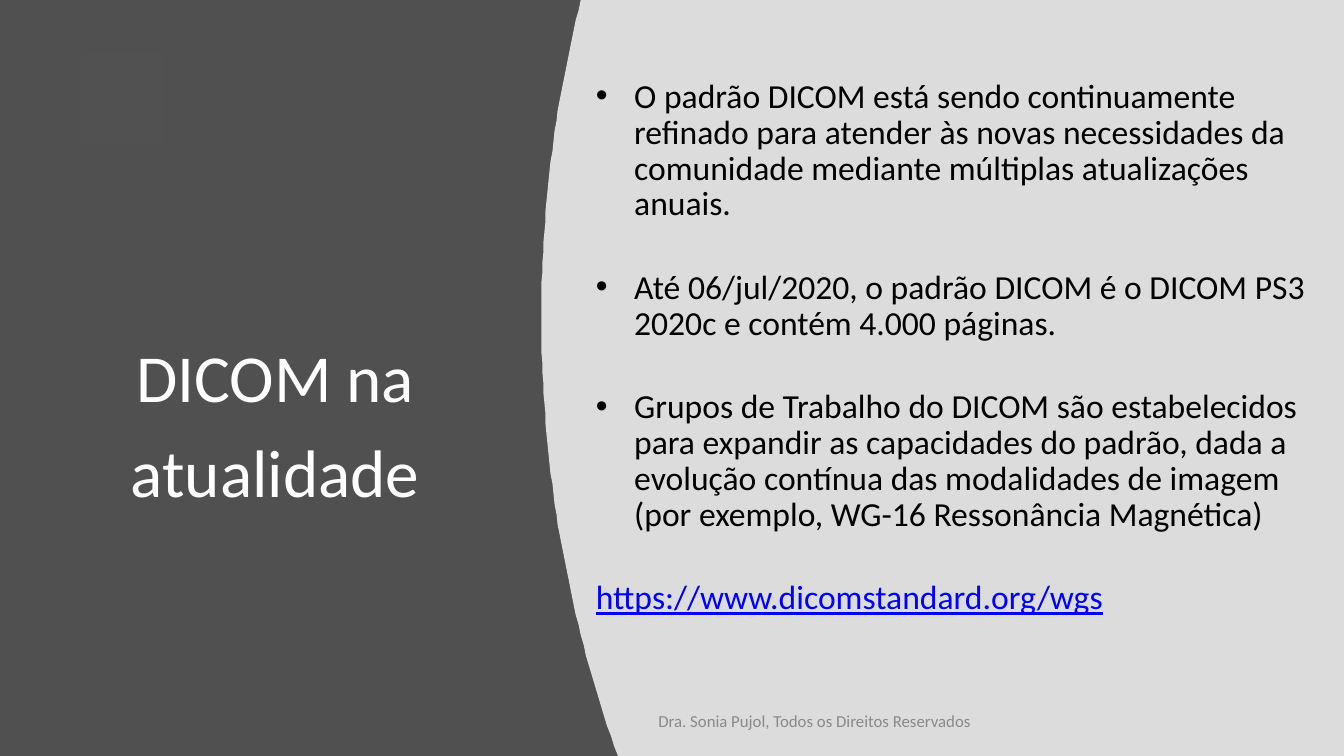
"""Build the slide about the DICOM standard today."""
import math
from dataclasses import dataclass

import pptx
import pptx.dml.color
import pptx.enum.shapes
import pptx.enum.text
import pptx.oxml
import pptx.oxml.ns
import pptx.util

PX = 9144
WIDTH, HEIGHT = 1333, 750
FONT = "Calibri"
COLORS = {
    "backdrop": "505050",
    "square": "515151",
    "panel": "FFFFFF",
    "title": "FFFFFF",
    "body": "000000",
    "link": "0000FF",
    "footer": "898989",
}
ARC_RADIUS, ARC_LEFT, ARC_MIDDLE, ARC_STEP = 1287, 537, 315, 10


@dataclass(frozen=True)
class Box:
    left: int
    top: int
    width: int
    height: int

    def emu(self) -> list[int]:
        return [side * PX for side in (self.left, self.top, self.width, self.height)]


@dataclass(frozen=True)
class Item:
    text: str
    color: str = "body"
    bulleted: bool = True


BACKDROP = Box(0, 0, WIDTH, HEIGHT)
SQUARE = Box(80, 53, 82, 91)
TITLE = Box(97, 316, 352, 161)
BODY = Box(590, 73, 722, 543)
FOOTER = Box(653, 705, 334, 23)
ITEMS = [
    Item("O padrão DICOM está sendo continuamente refinado para atender às novas "
         "necessidades da comunidade mediante múltiplas atualizações anuais."),
    Item("Até 06/jul/2020, o padrão DICOM é o DICOM PS3 2020c e contém 4.000 páginas."),
    Item("Grupos de Trabalho do DICOM são estabelecidos para expandir as capacidades "
         "do padrão, dada a evolução contínua das modalidades de imagem "
         "(por exemplo, WG-16 Ressonância Magnética)"),
    Item("https://www.dicomstandard.org/wgs", "link", False),
]


def rgb(name: str) -> pptx.dml.color.RGBColor:
    return pptx.dml.color.RGBColor.from_string(COLORS[name])


def paint(shape, color: str) -> None:
    shape.shadow.inherit = False
    shape.fill.solid()
    shape.fill.fore_color.rgb = rgb(color)
    shape.line.fill.background()


def add_rectangle(slide, box: Box, color: str) -> None:
    shape = slide.shapes.add_shape(pptx.enum.shapes.MSO_SHAPE.RECTANGLE, *box.emu())
    paint(shape, color)


def add_panel(slide) -> None:
    arc = [
        (round(ARC_LEFT + ARC_RADIUS - math.sqrt(ARC_RADIUS**2 - (y - ARC_MIDDLE) ** 2)), y)
        for y in range(0, HEIGHT + 1, ARC_STEP)
    ]
    outline = slide.shapes.build_freeform(WIDTH, 0, scale=PX)
    outline.add_line_segments(arc + [(WIDTH, HEIGHT)], close=True)
    panel = outline.convert_to_shape()
    paint(panel, "panel")
    tint = panel.element.spPr.find(".//" + pptx.oxml.ns.qn("a:srgbClr"))
    tint.append(pptx.oxml.parse_xml(
        f'<a:alpha {pptx.oxml.ns.nsdecls("a")} val="80000"/>'))


def place(shape, box: Box, top_inset: int = 0) -> None:
    shape.left, shape.top, shape.width, shape.height = box.emu()
    frame = shape.text_frame
    frame.word_wrap = True
    frame.auto_size = pptx.enum.text.MSO_AUTO_SIZE.NONE
    frame.vertical_anchor = pptx.enum.text.MSO_ANCHOR.TOP
    frame.margin_left = frame.margin_right = frame.margin_bottom = 0
    frame.margin_top = top_inset * PX


def style(paragraph, size: int, color: str) -> None:
    for run in paragraph.runs:
        run.font.name = FONT
        run.font.size = pptx.util.Pt(size)
        run.font.color.rgb = rgb(color)


def set_bullet(paragraph, bulleted: bool) -> None:
    properties = paragraph._p.get_or_add_pPr()
    properties.set("marL", str((39 if bulleted else 1) * PX))
    properties.set("indent", str((-38 if bulleted else 0) * PX))
    marks = ['<a:buFont {} typeface="Arial"/>', '<a:buChar {} char="•"/>']
    for mark in marks if bulleted else ["<a:buNone {}/>"]:
        properties.append(pptx.oxml.parse_xml(mark.format(pptx.oxml.ns.nsdecls("a"))))


def fill_title(title) -> None:
    place(title, TITLE, 1)
    title.text_frame.text = "DICOM na atualidade"
    heading = title.text_frame.paragraphs[0]
    heading.alignment = pptx.enum.text.PP_ALIGN.CENTER
    heading.line_spacing = 1.19
    style(heading, 48, "title")


def fill_body(body) -> None:
    place(body, BODY, 6)
    body.text_frame.text = "\n".join(item.text for item in ITEMS)
    for index, (item, paragraph) in enumerate(zip(ITEMS, body.text_frame.paragraphs)):
        set_bullet(paragraph, item.bulleted)
        paragraph.line_spacing = 0.89
        paragraph.space_before = pptx.util.Pt(34 if index else 0)
        style(paragraph, 24, item.color)
        if item.color == "link":
            paragraph.runs[0].font.underline = True


def add_footer(slide) -> None:
    footer = slide.shapes.add_textbox(*FOOTER.emu())
    place(footer, FOOTER)
    footer.text_frame.text = "Dra. Sonia Pujol, Todos os Direitos Reservados"
    style(footer.text_frame.paragraphs[0], 12, "footer")


def main() -> None:
    deck = pptx.Presentation()
    deck.slide_width, deck.slide_height = WIDTH * PX, HEIGHT * PX
    slide = deck.slides.add_slide(deck.slide_layouts[1])
    title, body = slide.placeholders
    add_rectangle(slide, BACKDROP, "backdrop")
    add_panel(slide)
    add_rectangle(slide, SQUARE, "square")
    for placeholder in (title, body):
        slide.shapes.element.append(placeholder.element)
    fill_title(title)
    fill_body(body)
    add_footer(slide)
    deck.save("out.pptx")


if __name__ == "__main__":
    main()
